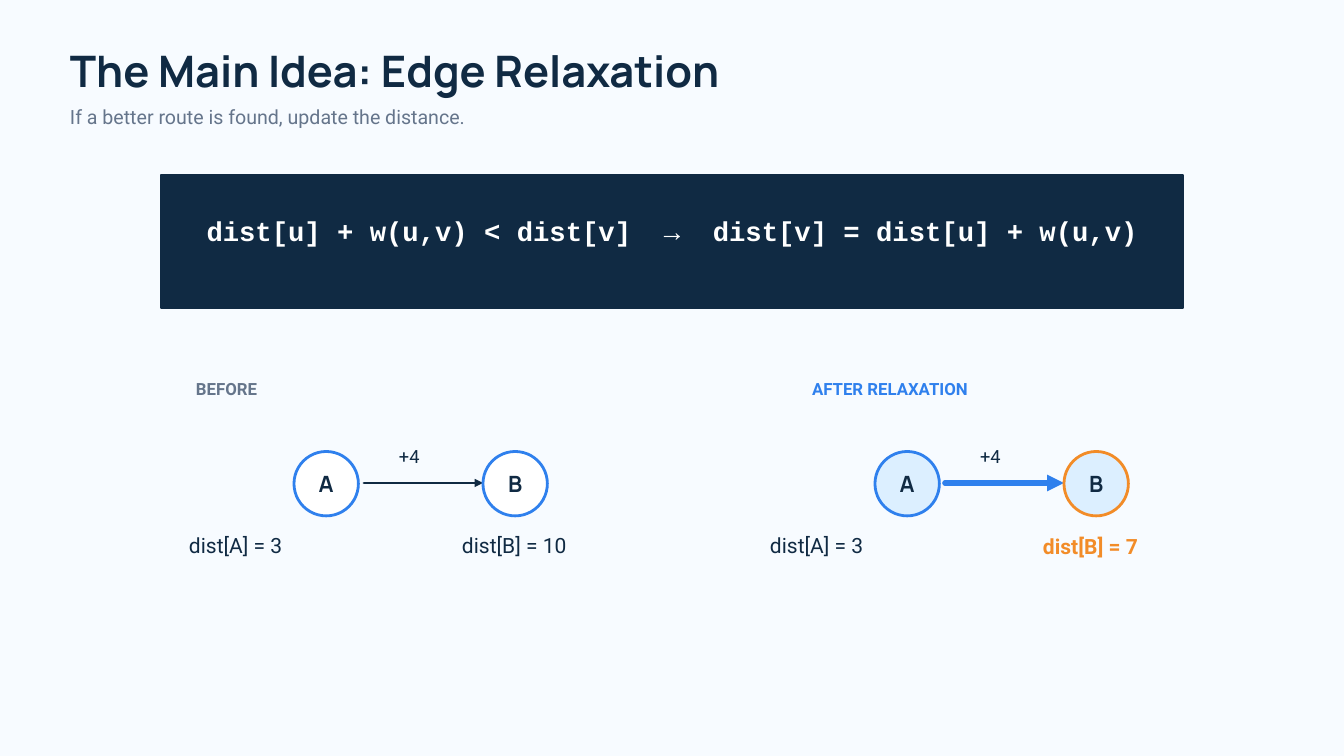
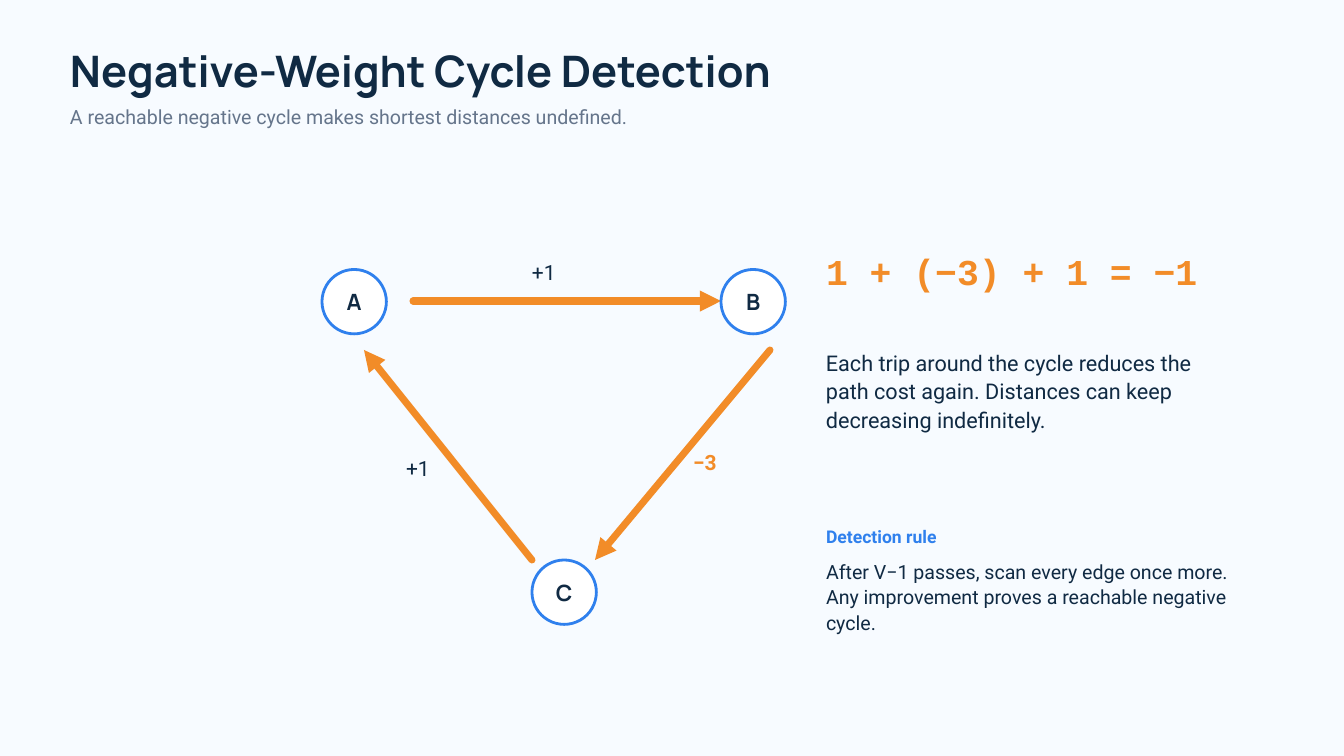
from collections import namedtuple

from lxml import etree
from pptx import Presentation
from pptx.dml.color import RGBColor
from pptx.enum.shapes import MSO_CONNECTOR, MSO_SHAPE
from pptx.enum.text import MSO_ANCHOR, MSO_AUTO_SIZE, PP_ALIGN
from pptx.oxml.ns import qn
from pptx.util import Inches, Pt

STRAIGHT = MSO_CONNECTOR.STRAIGHT
OVAL, RECTANGLE = MSO_SHAPE.OVAL, MSO_SHAPE.RECTANGLE
MIDDLE = MSO_ANCHOR.MIDDLE
FIT_SHAPE = MSO_AUTO_SIZE.SHAPE_TO_FIT_TEXT
LEFT, CENTER = PP_ALIGN.LEFT, PP_ALIGN.CENTER

WIDTH, HEIGHT = 20, 11.25
COLUMNS = 192
UNIT = Inches(WIDTH) / COLUMNS
POINTS_PER_ROW = 72 * WIDTH / COLUMNS
NODE_SIZE = 9.2
MARGIN = 10

COLORS = {
    "background": "F7FBFF",
    "navy": "102A43",
    "gray": "65758B",
    "blue": "2F80ED",
    "pale": "DCEFFF",
    "orange": "F28C28",
    "white": "FFFFFF",
}

TextStyle = namedtuple("TextStyle", "font size spacing color bold")
STYLES = {
    "title": TextStyle("Manrope", 46.5, 48.8, "navy", True),
    "subtitle": TextStyle("Roboto", 21, 27.3, "gray", False),
    "rule": TextStyle("Courier New", 29.2, 40.9, "white", True),
    "equation": TextStyle("Courier New", 39, 54.6, "orange", True),
    "before": TextStyle("Roboto", 18, 25.2, "gray", True),
    "after": TextStyle("Roboto", 18, 25.2, "blue", True),
    "heading": TextStyle("Roboto", 18.8, 26.2, "blue", True),
    "lead": TextStyle("Roboto", 23.2, 30.2, "navy", False),
    "body": TextStyle("Roboto", 21, 27.3, "navy", False),
    "value": TextStyle("Roboto", 22.5, 29.2, "navy", False),
    "changed": TextStyle("Roboto", 22.5, 31.5, "orange", True),
    "weight": TextStyle("Roboto", 19.5, 25.4, "navy", False),
    "node": TextStyle("Manrope", 24, 33.6, "navy", True),
}


def grid(count):
    """Turn grid columns or rows into a length."""
    return round(count * UNIT)


def rgb(name):
    """Look up a palette colour."""
    return RGBColor.from_string(COLORS[name])


class Deck:
    """Draw styled elements on the current slide, placed on a square grid."""

    def __init__(self):
        """Start an empty presentation."""
        self.presentation = Presentation()
        self.presentation.slide_width = Inches(WIDTH)
        self.presentation.slide_height = Inches(HEIGHT)
        self.slide = None

    def add_slide(self, title, subtitle):
        """Add a slide with its background, title and subtitle."""
        self.slide = self.presentation.slides.add_slide(self.presentation.slide_layouts[6])
        fill = self.slide.background.fill
        fill.solid()
        fill.fore_color.rgb = rgb("background")
        self.text(title, "title", MARGIN, 7.3, 150)
        self.text(subtitle, "subtitle", MARGIN, 14.7, 155)

    def fill_frame(self, text_frame, text, style_name, align):
        """Fill a text frame with one styled paragraph."""
        style = STYLES[style_name]
        text_frame.text = text
        paragraph = text_frame.paragraphs[0]
        paragraph.alignment = align
        paragraph.line_spacing = Pt(style.spacing)
        font = paragraph.runs[0].font
        font.name, font.size, font.bold = style.font, Pt(style.size), style.bold
        font.color.rgb = rgb(style.color)

    def text(self, text, style_name, left, top, width, lines=1, align=LEFT):
        """Add a text box as tall as its lines."""
        height = lines * STYLES[style_name].spacing / POINTS_PER_ROW
        box = self.slide.shapes.add_textbox(grid(left), grid(top), grid(width), grid(height))
        frame = box.text_frame
        frame.word_wrap = True
        frame.margin_left = frame.margin_right = frame.margin_top = frame.margin_bottom = 0
        self.fill_frame(frame, text, style_name, align)
        frame.auto_size = FIT_SHAPE

    def shape(self, kind, left, top, width, height, fill, line, line_width):
        """Add a filled and outlined preset shape."""
        shape = self.slide.shapes.add_shape(kind, grid(left), grid(top), grid(width), grid(height))
        shape.shadow.inherit = False
        shape.fill.solid()
        shape.fill.fore_color.rgb = rgb(fill)
        shape.line.color.rgb = rgb(line)
        shape.line.width = Pt(line_width)
        return shape

    def node(self, name, left, top, fill="white", line="blue"):
        """Add a graph node with its name inside."""
        frame = self.shape(OVAL, left, top, NODE_SIZE, NODE_SIZE, fill, line, 3).text_frame
        frame.margin_left = frame.margin_right = frame.margin_top = 0
        frame.margin_bottom = Inches(0.06)
        frame.vertical_anchor = MIDDLE
        self.fill_frame(frame, name, "node", CENTER)

    def arrow(self, start, end, color, width):
        """Add a round-capped edge with a triangular head."""
        points = [grid(value) for value in (*start, *end)]
        connector = self.slide.shapes.add_connector(STRAIGHT, *points)
        connector.line.color.rgb = rgb(color)
        connector.line.width = Pt(width)
        properties = connector._element.spPr
        outline = properties.find(qn("a:ln"))
        outline.set("cap", "rnd")
        etree.SubElement(outline, qn("a:round"))
        etree.SubElement(outline, qn("a:tailEnd"), type="triangle")
        etree.SubElement(properties, qn("a:effectLst"))


def relaxation_slide(deck):
    """Compare one edge before and after relaxation."""
    deck.add_slide("The Main Idea: Edge Relaxation", "If a better route is found, update the distance.")
    deck.shape(RECTANGLE, 23, 25, 146, 19, "navy", "navy", 1.5)
    deck.text("dist[u] + w(u,v) < dist[v]  →  dist[v] = dist[u] + w(u,v)",
              "rule", 29, 29.8, 134, align=CENTER)
    deck.text("BEFORE", "before", 28, 53.6, 24)
    deck.text("AFTER RELAXATION", "after", 116, 53.6, 33)

    panels = [
        (27, "dist[B] = 10", "value", 75.8, "white", "blue", "navy", 3),
        (110, "dist[B] = 7", "changed", 75.6, "pale", "orange", "blue", 6),
    ]
    for left, distance, style, top, fill, target_line, edge, edge_width in panels:
        deck.text("dist[A] = 3", "value", left, 75.8, 30)
        deck.text(distance, style, left + 39, top, 30)
        deck.arrow((left + 25, 69), (left + 42, 69), edge, edge_width)
        deck.node("A", left + 15, 64.5, fill)
        deck.node("B", left + 42, 64.5, fill, target_line)
        deck.text("+4", "weight", left + 30, 63.3, 8)


def negative_cycle_slide(deck):
    """Show a negative cycle and the rule that detects it."""
    deck.add_slide("Negative-Weight Cycle Detection",
                   "A reachable negative cycle makes shortest distances undefined.")
    edges = [((59, 43), (103, 43)), ((110, 50), (85, 80)), ((76, 80), (52, 50))]
    for start, end in edges:
        deck.arrow(start, end, "orange", 7.5)
    for name, left, top in [("A", 46, 38.5), ("B", 103, 38.5), ("C", 76, 80)]:
        deck.node(name, left, top)
    weights = [("+1", "value", 76, 36.8), ("−3", "changed", 99, 63.6), ("+1", "value", 58, 64.8)]
    for weight, style, left, top in weights:
        deck.text(weight, style, left, top, 8)

    notes = [
        ("1 + (−3) + 1 = −1", "equation", 34.6, 60, 1),
        ("Each trip around the cycle reduces the path cost again. "
         "Distances can keep decreasing indefinitely.", "lead", 49.7, 58, 3),
        ("Detection rule", "heading", 74.6, 40, 1),
        ("After V−1 passes, scan every edge once more. "
         "Any improvement proves a reachable negative cycle.", "body", 79.7, 60, 3),
    ]
    for text, style, top, width, lines in notes:
        deck.text(text, style, 118, top, width, lines)


def main():
    """Build and save the slides."""
    deck = Deck()
    relaxation_slide(deck)
    negative_cycle_slide(deck)
    deck.presentation.save("out.pptx")


if __name__ == "__main__":
    main()
